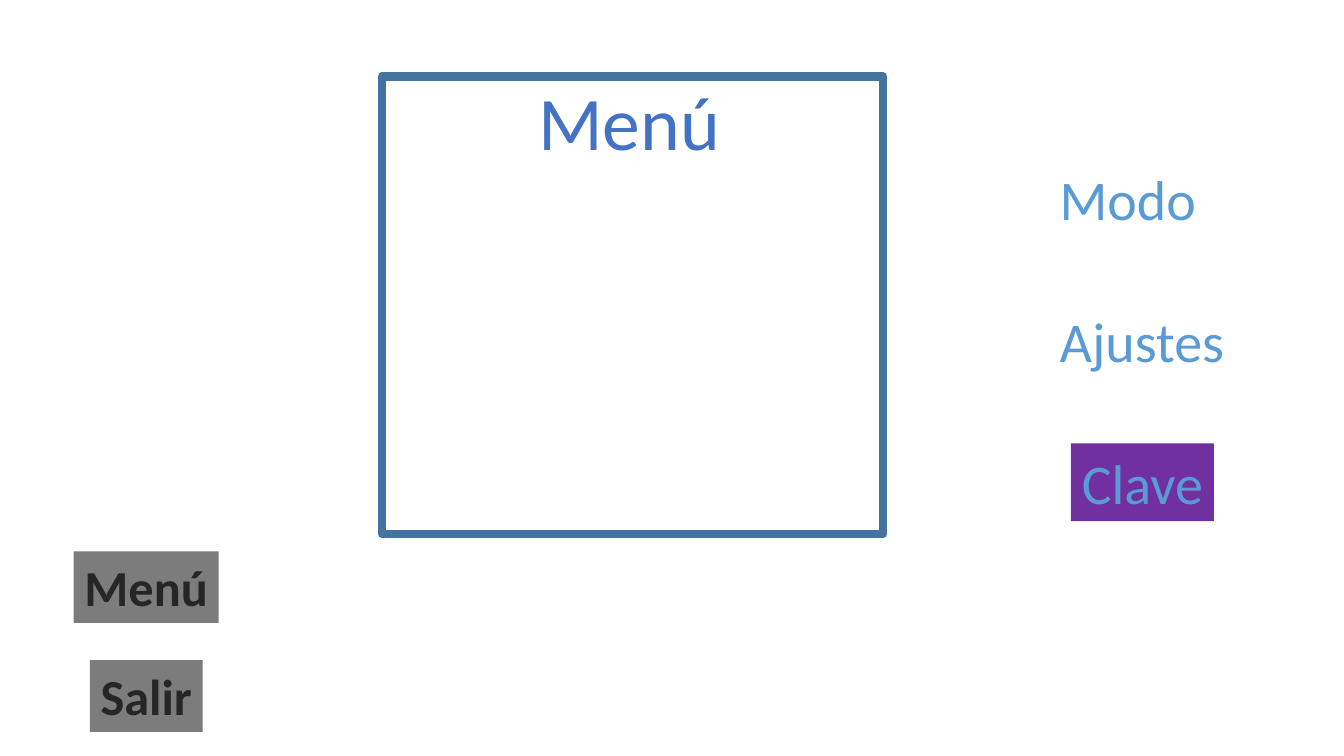
from lxml import etree
from pptx import Presentation
from pptx.dml.color import RGBColor
from pptx.enum.shapes import MSO_SHAPE as Shape
from pptx.enum.text import MSO_ANCHOR as Anchor, MSO_AUTO_SIZE as AutoSize, PP_ALIGN as Align
from pptx.oxml.ns import qn
from pptx.util import Inches, Pt

FONT = "Calibri"
OPTION_TOP, OPTION_PITCH, OPTION_HEIGHT = 1.58, 1.41, 0.77
BUTTON_TOP, BUTTON_PITCH, BUTTON_HEIGHT = 5.47, 1.08, 0.71
BUTTON_CENTRE = 1.45


def colour(hex_code):
    return RGBColor.from_string(hex_code)


def box(left, top, width, height):
    return [Inches(length) for length in (left, top, width, height)]


def add_label(frame, text, size, hex_code=None, bold=False):
    """Write one centred, unwrapped line and return its run."""
    frame.word_wrap = False
    frame.auto_size = AutoSize.SHAPE_TO_FIT_TEXT
    frame.vertical_anchor = Anchor.TOP
    line = frame.paragraphs[0]
    line.alignment = Align.CENTER
    run = line.add_run()
    run.text = text
    run.font.name, run.font.size, run.font.bold = FONT, Pt(size), bold
    if hex_code:
        run.font.color.rgb = colour(hex_code)
    return run


def add_rectangle(slide, bounds, fill=None, border=None, weight=0):
    rectangle = slide.shapes.add_shape(Shape.RECTANGLE, *bounds)
    rectangle.shadow.inherit = False
    if fill:
        rectangle.fill.solid()
        rectangle.fill.fore_color.rgb = colour(fill)
    else:
        rectangle.fill.background()
    if border:
        rectangle.line.color.rgb = colour(border)
        rectangle.line.width = Pt(weight)
    else:
        rectangle.line.fill.background()
    return rectangle


def add_hex(parent, hex_code):
    etree.SubElement(parent, qn("a:srgbClr"), val=hex_code)


def shade_text(run, stops):
    """Fill the letters with a vertical gradient."""
    gradient = etree.Element(qn("a:gradFill"))
    stop_list = etree.SubElement(gradient, qn("a:gsLst"))
    for percent, hex_code in stops:
        add_hex(etree.SubElement(stop_list, qn("a:gs"), pos=str(percent * 1000)), hex_code)
    etree.SubElement(gradient, qn("a:lin"), ang=str(90 * 60000), scaled="0")
    run.font._element.insert(0, gradient)


def outline_text(run, hex_code, weight):
    outline = etree.Element(qn("a:ln"), w=str(Pt(weight)))
    add_hex(etree.SubElement(outline, qn("a:solidFill")), hex_code)
    run.font._element.insert(0, outline)


def add_title(slide):
    title = slide.shapes.title
    title.left, title.top, title.width, title.height = box(5.23, 0.69, 2.02, 1.01)
    run = add_label(title.text_frame, "Menú", 54)
    shade_text(run, [(0, "203864"), (50, "4472C4"), (100, "8FAADC")])


def add_option(slide, row, text, left, width, fill=None):
    bounds = box(left, OPTION_TOP + row * OPTION_PITCH, width, OPTION_HEIGHT)
    if fill:
        option = add_rectangle(slide, bounds, fill)
    else:
        option = slide.shapes.add_textbox(*bounds)
    add_label(option.text_frame, text, 40, "5B9BD5")


def add_button(slide, row, text, width):
    bounds = box(BUTTON_CENTRE - width / 2, BUTTON_TOP + row * BUTTON_PITCH,
                 width, BUTTON_HEIGHT)
    button = add_rectangle(slide, bounds, "7C7C7C")
    run = add_label(button.text_frame, text, 36, "262626", bold=True)
    outline_text(run, "FFFFFF", 1.06)


def main():
    deck = Presentation()
    deck.slide_width, deck.slide_height = Inches(13.33), Inches(7.5)
    slide = deck.slides.add_slide(deck.slide_layouts.get_by_name("Title Only"))

    add_title(slide)

    # Options on the right
    add_option(slide, 2, "Clave", 10.62, 1.42, fill="7030A0")
    add_option(slide, 1, "Ajustes", 10.4, 1.85)
    add_option(slide, 0, "Modo", 10.4, 1.57)

    # Menu frame
    add_rectangle(slide, box(3.79, 0.76, 4.97, 4.54), border="43739E", weight=6)

    # Buttons at the lower left
    for row, (text, width) in enumerate([("Menú", 1.44), ("Salir", 1.12)]):
        add_button(slide, row, text, width)

    deck.save("out.pptx")


main()
